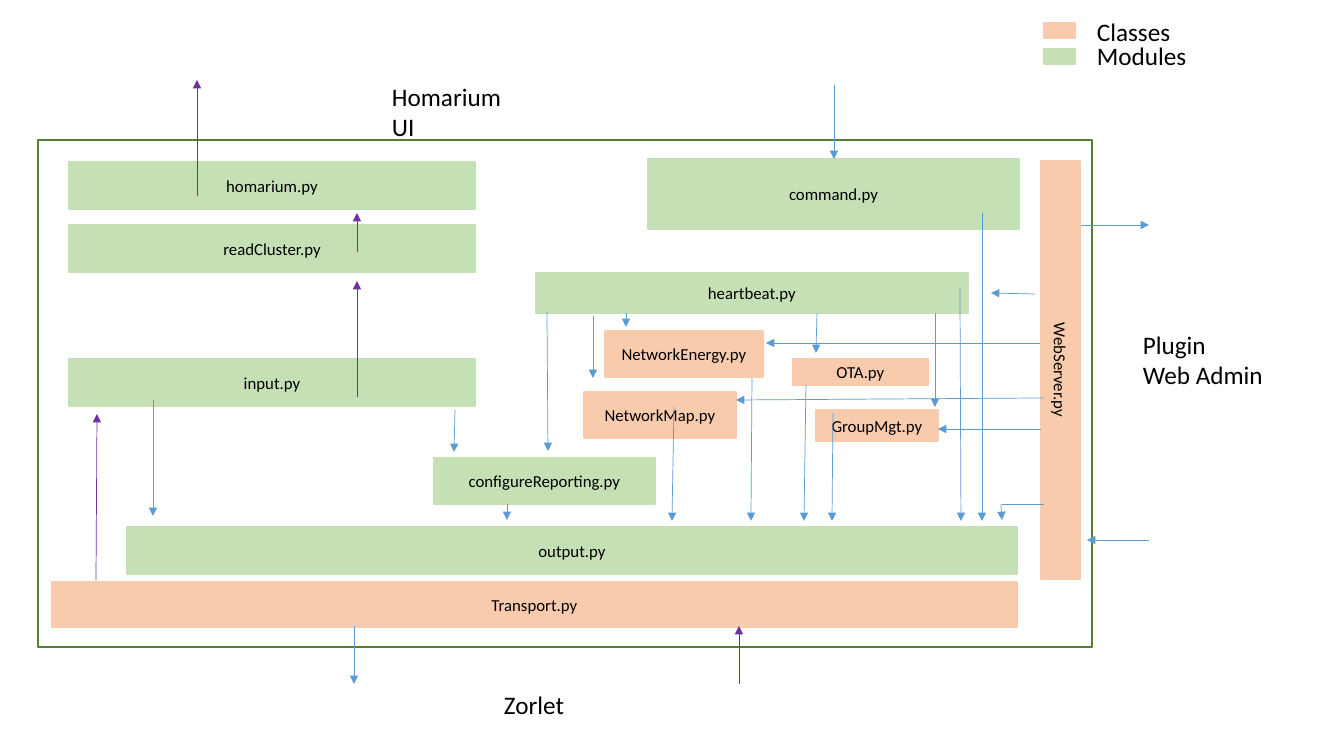
from typing import NamedTuple, Optional

from lxml import etree
from pptx import Presentation
from pptx import util as u
from pptx.dml.color import RGBColor
from pptx.enum import shapes, text
from pptx.oxml import ns

EMU_PER_PIXEL = 914400 / 100.8
FONT = "Calibri"
CLASS_ORANGE = RGBColor(0xF8, 0xCB, 0xAD)
MODULE_GREEN = RGBColor(0xC5, 0xE0, 0xB4)
FRAME_GREEN = RGBColor(0x53, 0x80, 0x35)
BLUE = RGBColor(0x5B, 0x9B, 0xD5)
PURPLE = RGBColor(0x70, 0x30, 0xA0)
BLACK = RGBColor(0, 0, 0)


class Box(NamedTuple):
    left: int
    top: int
    width: int
    height: int
    fill: Optional[RGBColor]
    label: str = ""
    vertical: bool = False


class Caption(NamedTuple):
    left: int
    top: int
    width: int
    height: int
    lines: tuple[str, ...]


class Flow(NamedTuple):
    start_x: int
    start_y: int
    end_x: int
    end_y: int
    color: RGBColor = BLUE
    arrow: bool = True


def px(pixels: int) -> u.Emu:
    return u.Emu(round(pixels * EMU_PER_PIXEL))


def add_run(paragraph, content: str, size: int) -> None:
    run = paragraph.add_run()
    run.text = content
    run.font.name = FONT
    run.font.size = u.Pt(size)
    run.font.color.rgb = BLACK


def add_box(slide, box: Box) -> None:
    shape = slide.shapes.add_shape(shapes.MSO_SHAPE.RECTANGLE, *map(px, box[:4]))
    shape.shadow.inherit = False
    if box.fill is None:
        shape.fill.background()
    else:
        shape.fill.solid()
        shape.fill.fore_color.rgb = box.fill
    shape.line.color.rgb = box.fill or FRAME_GREEN
    shape.line.width = u.Pt(1)
    if not box.label:
        return
    frame = shape.text_frame
    frame.word_wrap = True
    frame.vertical_anchor = text.MSO_ANCHOR.MIDDLE
    if box.vertical:
        frame._txBody.bodyPr.set("vert", "vert")
    paragraph = frame.paragraphs[0]
    paragraph.alignment = text.PP_ALIGN.CENTER
    add_run(paragraph, box.label, 12)


def add_caption(slide, caption: Caption) -> None:
    frame = slide.shapes.add_textbox(*map(px, caption[:4])).text_frame
    frame.word_wrap = False
    frame.auto_size = text.MSO_AUTO_SIZE.SHAPE_TO_FIT_TEXT
    paragraph = frame.paragraphs[0]
    for index, line in enumerate(caption.lines):
        if index:
            paragraph.add_line_break()
        add_run(paragraph, line, 18)


def add_flow(slide, flow: Flow) -> None:
    connector = slide.shapes.add_connector(
        shapes.MSO_CONNECTOR.STRAIGHT, *map(px, flow[:4]))
    connector.line.color.rgb = flow.color
    connector.line.width = u.Pt(0.5)
    if flow.arrow:
        tail = etree.SubElement(connector.line._get_or_add_ln(), ns.qn("a:tailEnd"))
        tail.set("type", "triangle")
    etree.SubElement(connector._element.spPr, ns.qn("a:effectLst"))


OUTPUT_TIP = 521  # where calls into output.py end

BOXES = [
    # Plugin frame
    Box(38, 140, 1054, 507, None),
    # Transport and web access
    Box(1041, 161, 39, 418, CLASS_ORANGE, "WebServer.py", vertical=True),
    Box(52, 582, 965, 45, CLASS_ORANGE, "Transport.py"),
    # Modules
    *(Box(69, top, 406, 47, MODULE_GREEN, label) for top, label in
      ((162, "homarium.py"), (225, "readCluster.py"), (359, "input.py"))),
    Box(127, 527, 890, 47, MODULE_GREEN, "output.py"),
    Box(434, 458, 221, 46, MODULE_GREEN, "configureReporting.py"),
    Box(648, 159, 371, 70, MODULE_GREEN, "command.py"),
    Box(536, 273, 432, 40, MODULE_GREEN, "heartbeat.py"),
    # Classes
    Box(793, 359, 135, 26, CLASS_ORANGE, "OTA.py"),
    Box(816, 410, 122, 31, CLASS_ORANGE, "GroupMgt.py"),
    Box(605, 331, 158, 46, CLASS_ORANGE, "NetworkEnergy.py"),
    Box(584, 392, 152, 46, CLASS_ORANGE, "NetworkMap.py"),
    # Legend swatches
    Box(1044, 23, 31, 15, CLASS_ORANGE),
    Box(1044, 49, 31, 15, MODULE_GREEN),
]

CAPTIONS = [
    Caption(1087, 11, 95, 40, ("Classes",)),
    Caption(1087, 35, 111, 40, ("Modules",)),
    Caption(382, 76, 147, 40, ("Homarium UI",)),
    Caption(1133, 324, 142, 72, ("Plugin", "Web Admin")),
    Caption(494, 684, 83, 40, ("Zorlet",)),
]

FLOWS = [
    # Incoming data, from the radio up to the user interface
    Flow(739, 684, 739, 626, PURPLE),
    Flow(96, 580, 97, 414, PURPLE),
    Flow(357, 397, 357, 281, PURPLE),
    Flow(357, 252, 357, 213, PURPLE),
    Flow(197, 196, 197, 80, PURPLE),
    # Outgoing data
    Flow(354, 626, 354, 684),
    Flow(834, 85, 834, 159),
    Flow(153, 400, 153, 516),
    Flow(455, 410, 454, 452),
    Flow(507, 504, 507, 520),
    # Calls from heartbeat.py
    Flow(547, 312, 548, 451),
    Flow(593, 316, 593, 378),
    Flow(626, 313, 626, 327),
    Flow(817, 313, 816, 353),
    Flow(935, 313, 935, 407),
    # Calls into output.py
    *(Flow(start_x, start_y, end_x, OUTPUT_TIP) for start_x, start_y, end_x in
      ((674, 407, 672), (752, 378, 751), (806, 385, 804), (833, 413, 832),
       (960, 288, 961), (982, 213, 982))),
    # Calls from WebServer.py
    Flow(1035, 294, 991, 293),
    Flow(1040, 343, 766, 343),
    Flow(1044, 398, 736, 400),
    Flow(1041, 429, 938, 429),
    Flow(1044, 504, 1002, 504, arrow=False),
    Flow(1001, 504, 1002, 520),
    # Web admin exchange
    Flow(1081, 225, 1149, 225),
    Flow(1149, 540, 1087, 540),
]

presentation = Presentation()
presentation.slide_width = px(1344)
presentation.slide_height = px(756)
slide = presentation.slides.add_slide(presentation.slide_layouts[6])

for item in BOXES:
    add_box(slide, item)
for item in CAPTIONS:
    add_caption(slide, item)
for item in FLOWS:
    add_flow(slide, item)

presentation.save("out.pptx")
